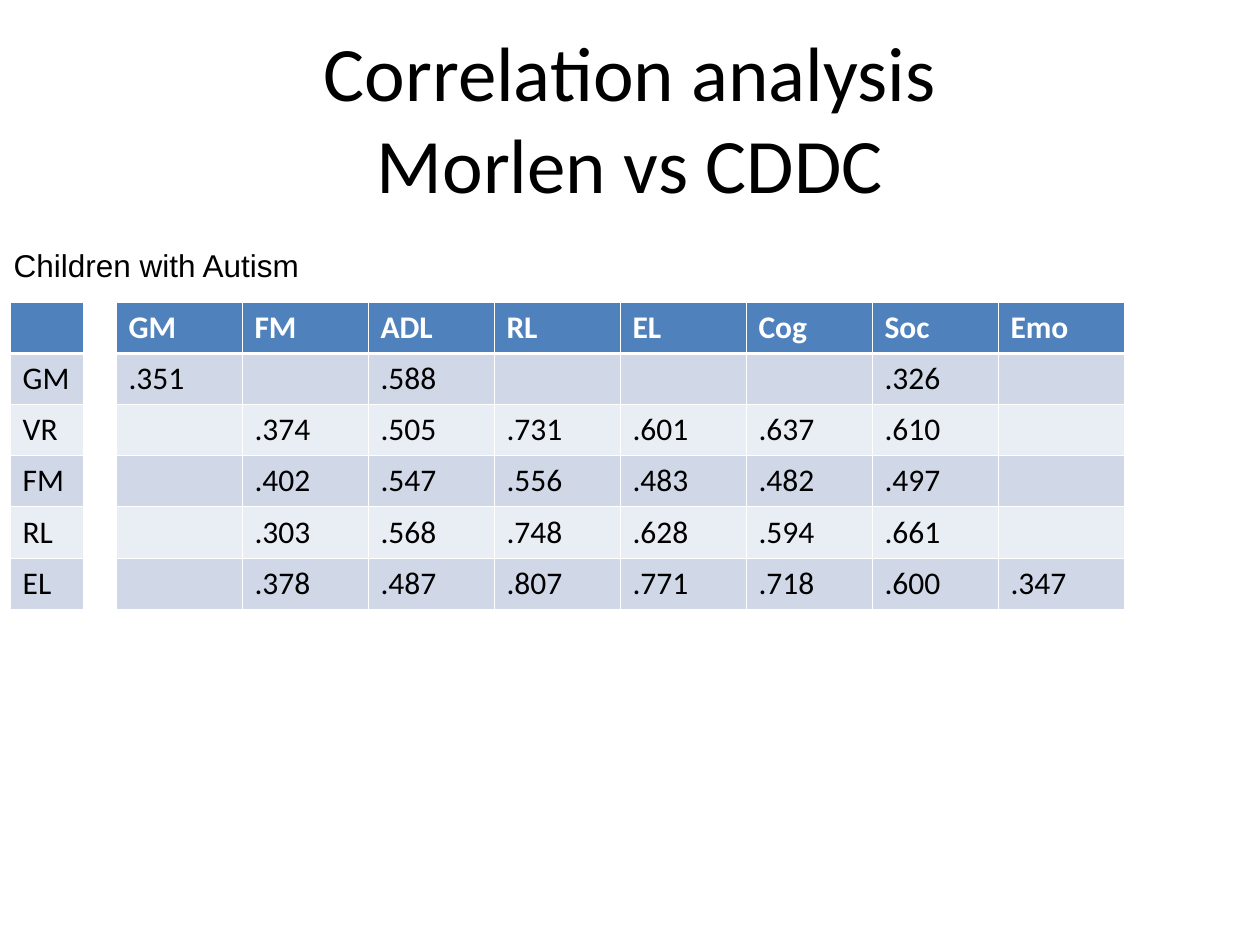
"""Build the slide of correlations between Morlen and CDDC scales."""
from dataclasses import dataclass

from lxml.etree import SubElement
from pptx import Presentation
from pptx.dml.color import RGBColor
from pptx.enum.text import MSO_ANCHOR, MSO_AUTO_SIZE, PP_ALIGN
from pptx.oxml.ns import qn
from pptx.util import Inches, Pt

TITLE = "Correlation analysis\vMorlen vs CDDC"
GROUP = "Children with Autism"
MORLEN_SCALES = [[""], ["GM"], ["VR"], ["FM"], ["RL"], ["EL"]]
CORRELATIONS = [
    ["GM", "FM", "ADL", "RL", "EL", "Cog", "Soc", "Emo"],
    [".351", "", ".588", "", "", "", ".326", ""],
    ["", ".374", ".505", ".731", ".601", ".637", ".610", ""],
    ["", ".402", ".547", ".556", ".483", ".482", ".497", ""],
    ["", ".303", ".568", ".748", ".628", ".594", ".661", ""],
    ["", ".378", ".487", ".807", ".771", ".718", ".600", ".347"],
]
TABLE_TOP, TABLE_HEIGHT = 2.4, 2.43


@dataclass(frozen=True)
class Theme:
    body_font: str = "Calibri"
    label_font: str = "Arial"
    title_size: int = 44
    body_size: int = 18
    text: str = "000000"
    white: str = "FFFFFF"
    header: str = "4F81BD"
    bands: tuple = ("D0D8E8", "E9EDF4")
    thin_line: float = 0.45
    thick_line: float = 1.47


THEME = Theme()


def style_text(paragraph, font_name, size, color=THEME.text, bold=False):
    for font in [paragraph.font] + [run.font for run in paragraph.runs]:
        font.name = font_name
        font.size = Pt(size)
        font.bold = bold
        font.color.rgb = RGBColor.from_string(color)


def add_border(cell, side, width):
    line = SubElement(cell._tc.get_or_add_tcPr(), qn(f"a:ln{side}"), w=str(Pt(width)))
    fill = SubElement(line, qn("a:solidFill"))
    SubElement(fill, qn("a:srgbClr"), val=THEME.white)


def style_cell(cell, row_index):
    is_header = row_index == 0
    thick_side = {0: "B", 1: "T"}.get(row_index)
    for side in "LRTB":
        add_border(cell, side, THEME.thick_line if side == thick_side else THEME.thin_line)
    fill_color = THEME.header if is_header else THEME.bands[(row_index - 1) % 2]
    cell.fill.solid()
    cell.fill.fore_color.rgb = RGBColor.from_string(fill_color)
    style_text(cell.text_frame.paragraphs[0], THEME.body_font, THEME.body_size,
               THEME.white if is_header else THEME.text, is_header)


def add_score_table(slide, rows, left, column_width):
    column_count = len(rows[0])
    table = slide.shapes.add_table(
        len(rows), column_count, Inches(left), Inches(TABLE_TOP),
        Inches(column_width * column_count), Inches(TABLE_HEIGHT)).table
    for row_index, values in enumerate(rows):
        for column_index, value in enumerate(values):
            cell = table.cell(row_index, column_index)
            cell.text_frame.text = value
            style_cell(cell, row_index)


def add_title(slide):
    title = slide.shapes.title
    title.left, title.top = Inches(0.5), Inches(0.3)
    title.width, title.height = Inches(9), Inches(1.25)
    frame = title.text_frame
    frame.text = TITLE
    frame.auto_size = MSO_AUTO_SIZE.NONE
    frame.vertical_anchor = MSO_ANCHOR.MIDDLE
    paragraph = frame.paragraphs[0]
    paragraph.alignment = PP_ALIGN.CENTER
    style_text(paragraph, THEME.body_font, THEME.title_size)


def add_group_label(slide):
    label = slide.shapes.add_textbox(Inches(0.01), Inches(1.9), Inches(2.48), Inches(0.4))
    frame = label.text_frame
    frame.text = GROUP
    frame.word_wrap = False
    frame.auto_size = MSO_AUTO_SIZE.SHAPE_TO_FIT_TEXT
    style_text(frame.paragraphs[0], THEME.label_font, THEME.body_size)


def main():
    presentation = Presentation()
    presentation.slide_width, presentation.slide_height = Inches(10), Inches(7.5)
    slide = presentation.slides.add_slide(presentation.slide_layouts[5])
    add_title(slide)
    add_score_table(slide, CORRELATIONS, left=0.92, column_width=1)
    add_score_table(slide, MORLEN_SCALES, left=0.08, column_width=0.58)
    add_group_label(slide)
    presentation.save("out.pptx")


if __name__ == "__main__":
    main()
